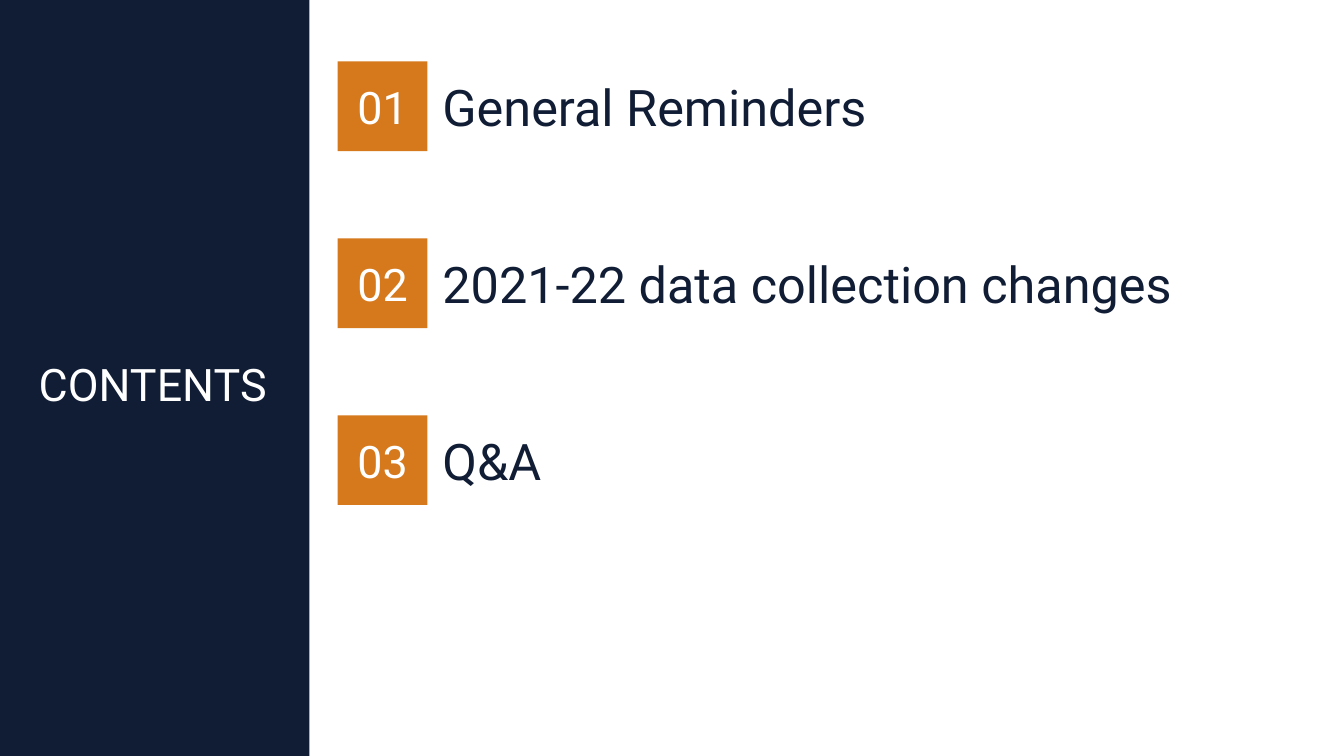
from dataclasses import dataclass

from pptx import Presentation
from pptx.dml.color import RGBColor
from pptx.enum.shapes import MSO_SHAPE as Preset
from pptx.enum.text import MSO_ANCHOR as Anchor, MSO_AUTO_SIZE as AutoSize, PP_ALIGN as Align
from pptx.shapes.base import BaseShape
from pptx.shapes.autoshape import Shape
from pptx.util import Inches, Pt

WIDTH, HEIGHT = Inches(13.33), Inches(7.5)
NAVY, ORANGE, WHITE = "101D35", "D6791C", "FFFFFF"
FIRST_ROW, ROW_STEP = 8.13, 23.4
TOPICS = ("General Reminders", "2021-22 data collection changes", "Q&A")


@dataclass(frozen=True)
class Area:
    """A rectangle in percent of the slide's width and height."""
    left: float
    top: float
    width: float
    height: float

    def bounds(self) -> tuple[int, int, int, int]:
        """Return left, top, width and height in slide units."""
        return (round(self.left * WIDTH / 100), round(self.top * HEIGHT / 100),
                round(self.width * WIDTH / 100), round(self.height * HEIGHT / 100))


@dataclass(frozen=True)
class TextStyle:
    """The size, colour and alignment of a line of text."""
    size: int
    color: str
    align: Align


HEADING = TextStyle(32, WHITE, Align.CENTER)
TOPIC = TextStyle(36, NAVY, Align.LEFT)


def rgb(color: str) -> RGBColor:
    """Turn a hex string into a colour."""
    return RGBColor.from_string(color)


def write(box: BaseShape, text: str, style: TextStyle) -> None:
    """Put one vertically centred line of text into a box."""
    frame = box.text_frame
    frame.text = text
    settings = {"word_wrap": True, "auto_size": AutoSize.NONE, "vertical_anchor": Anchor.MIDDLE}
    for name, value in settings.items():
        setattr(frame, name, value)
    para = frame.paragraphs[0]
    para.alignment = style.align
    font = para.runs[0].font
    for name, value in {"name": "Roboto", "size": Pt(style.size), "bold": False}.items():
        setattr(font, name, value)
    font.color.rgb = rgb(style.color)


def add_block(shapes, area: Area, color: str) -> Shape:
    """Add a plain filled rectangle."""
    block = shapes.add_shape(Preset.RECTANGLE, *area.bounds())
    block.shadow.inherit = False
    block.fill.solid()
    block.fill.fore_color.rgb = rgb(color)
    block.line.fill.background()
    return block


def add_topic(page, index: int, topic: str) -> None:
    """Add a numbered badge grouped with its topic."""
    top = FIRST_ROW + index * ROW_STEP
    row = page.shapes.add_group_shape().shapes
    badge = add_block(row, Area(25.13, top, 6.68, 11.87), ORANGE)
    write(badge, f"{index + 1:02}", HEADING)
    label = row.add_textbox(*Area(32.18, top, 65.49, 11.87).bounds())
    write(label, topic, TOPIC)


def main() -> None:
    """Build the contents slide."""
    deck = Presentation()
    deck.slide_width, deck.slide_height = WIDTH, HEIGHT
    page = deck.slides.add_slide(deck.slide_layouts[5])
    sidebar = add_block(page.shapes, Area(0, 0, 23.03, 100), NAVY)
    title = page.shapes.title
    sidebar.element.addnext(title.element)
    bounds = Area(0, 46.53, 22.73, 8.53).bounds()
    for name, value in zip(("left", "top", "width", "height"), bounds):
        setattr(title, name, value)
    write(title, "CONTENTS", HEADING)
    for index, topic in enumerate(TOPICS):
        add_topic(page, index, topic)
    deck.save("out.pptx")


if __name__ == "__main__":
    main()
